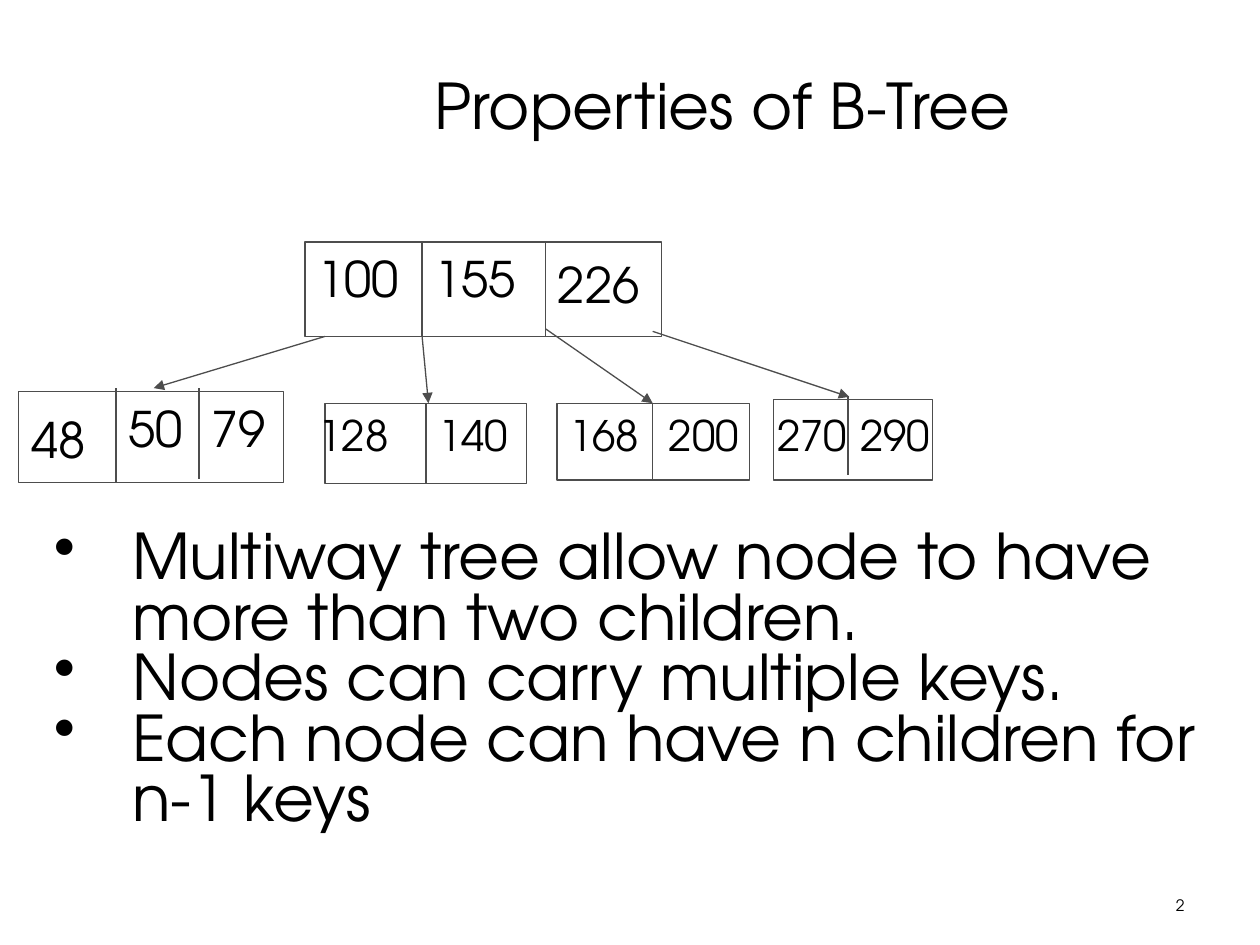
from lxml import etree
from pptx import Presentation
from pptx.dml.color import RGBColor
from pptx.enum.shapes import MSO_CONNECTOR, MSO_SHAPE
from pptx.enum.text import MSO_ANCHOR, PP_ALIGN
from pptx.oxml.ns import qn
from pptx.util import Inches, Pt

RECT = MSO_SHAPE.RECTANGLE
STRAIGHT = MSO_CONNECTOR.STRAIGHT
TOP, MIDDLE = MSO_ANCHOR.TOP, MSO_ANCHOR.MIDDLE
LEFT, RIGHT = PP_ALIGN.LEFT, PP_ALIGN.RIGHT

FONT = "TeX Gyre Adventor"
BLACK = RGBColor(0x00, 0x00, 0x00)
GRAY = RGBColor(0x4D, 0x4D, 0x4D)
WHITE = RGBColor(0xFF, 0xFF, 0xFF)

# Each node: box, dividers (x, top, bottom), key size, keys (text, left, top, width)
NODES = [
    ((2.42, 1.92, 2.83, 0.75), [(3.35, 1.92, 2.67), (4.33, 1.92, 2.67)], 28,
     [("100", 2.42, 1.92, 0.93), ("155", 3.35, 1.92, 0.99), ("226", 4.33, 1.97, 0.92)]),
    ((0.15, 3.11, 2.1, 0.72), [(0.92, 3.08, 3.83), (1.58, 3.08, 3.8)], 28,
     [("48", 0.15, 3.2, 0.77), ("50", 0.92, 3.11, 0.67), ("79", 1.58, 3.11, 0.66)]),
    ((2.58, 3.2, 1.6, 0.64), [(3.38, 3.2, 3.83)], 24,
     [("128", 2.43, 3.2, 0.8), ("140", 3.38, 3.2, 0.83)]),
    ((4.42, 3.2, 1.53, 0.61), [(5.18, 3.2, 3.8)], 24,
     [("168", 4.42, 3.2, 0.76), ("200", 5.21, 3.2, 0.82)]),
    ((6.14, 3.17, 1.26, 0.64), [(6.73, 3.14, 3.77)], 24,
     [("270", 6.07, 3.2, 0.84), ("290", 6.73, 3.2, 0.9)]),
]
CHILD_ARROWS = [
    (2.58, 2.67, 1.22, 3.08),
    (3.35, 2.67, 3.4, 3.2),
    (4.33, 2.61, 5.18, 3.2),
    (5.18, 2.63, 6.74, 3.15),
]
PROPERTIES = [
    "Multiway tree allow node to have more than two children.",
    "Nodes can carry multiple keys.",
    "Each node can have n children for n-1 keys",
]


def add_text(slide, box, lines, size, align=LEFT, anchor=TOP):
    """Add a wrapping text box with one paragraph per line."""
    tf = slide.shapes.add_textbox(*map(Inches, box)).text_frame
    tf.word_wrap = True
    tf.vertical_anchor = anchor
    tf.text = "\n".join(lines)
    for p in tf.paragraphs:
        p.alignment = align
        p.font.name = FONT
        p.font.size = Pt(size)
        p.font.color.rgb = BLACK
    return tf


def add_line(slide, ends, arrow=False):
    """Add a thin gray line, with an arrowhead at its end if wanted."""
    line = slide.shapes.add_connector(STRAIGHT, *map(Inches, ends))
    line.line.color.rgb = GRAY
    line.line.width = Pt(0.75)
    if arrow:
        etree.SubElement(line.line._get_or_add_ln(), qn("a:tailEnd"), type="triangle")
    etree.SubElement(line._element.spPr, qn("a:effectLst"))


def add_node(slide, box, dividers, size, keys):
    """Add a tree node: a box, its dividers and its keys."""
    sp = slide.shapes.add_shape(RECT, *map(Inches, box))
    sp.shadow.inherit = False
    sp.fill.solid()
    sp.fill.fore_color.rgb = WHITE
    sp.line.color.rgb = GRAY
    sp.line.width = Pt(0.75)
    for x, top, bottom in dividers:
        add_line(slide, (x, top, x, bottom))
    for key, left, top, width in keys:
        tf = add_text(slide, (left, top, width, 0.57 if size == 28 else 0.5), [key], size)
        tf.margin_right = 0


def add_bullets(slide, box, lines, size):
    """Add a bulleted list with hanging indents and tight lines."""
    for p in add_text(slide, box, lines, size).paragraphs:
        p.line_spacing = 0.8
        pPr = p._p.get_or_add_pPr()
        pPr.set("marL", str(Inches(0.62)))
        pPr.set("indent", str(-Inches(0.62)))
        bullet = etree.Element(qn("a:buChar"), char="\u2022")
        pPr.find(qn("a:defRPr")).addprevious(bullet)


def main():
    """Build the slide and save it."""
    prs = Presentation()
    prs.slide_width, prs.slide_height = Inches(10), Inches(7.5)
    slide = prs.slides.add_slide(prs.slide_layouts[6])
    add_text(slide, (3.35, 0.28, 6.14, 1.1), ["Properties of B-Tree"], 36, anchor=MIDDLE)
    add_text(slide, (7.17, 7.06, 2.33, 0.29), ["2"], 9, align=RIGHT)
    for node in NODES:
        add_node(slide, *node)
    for ends in CHILD_ARROWS:
        add_line(slide, ends, arrow=True)
    add_bullets(slide, (0.33, 4.17, 9.67, 2.52), PROPERTIES, 36)
    prs.save("out.pptx")


main()
